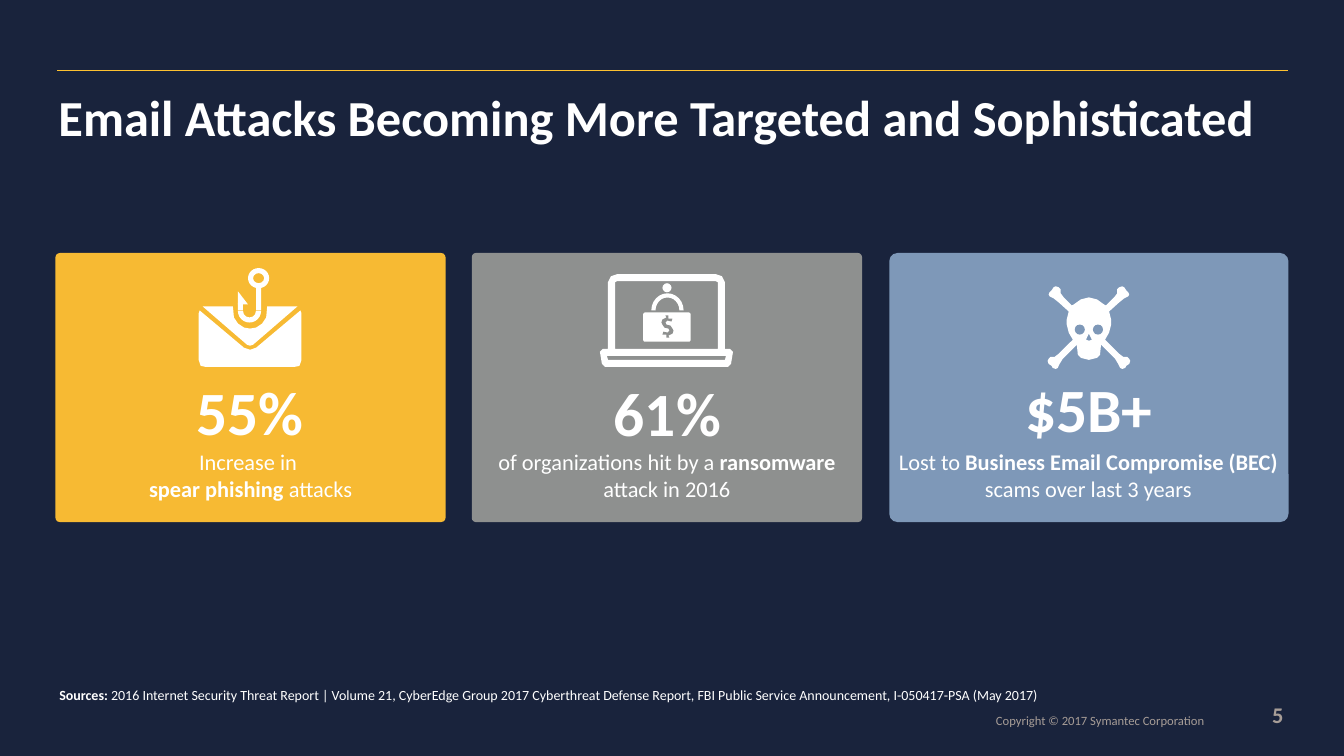
from pptx import Presentation
from pptx import util as u
from pptx.dml import color
from pptx.enum import shapes, text
from pptx.oxml import ns
from lxml import etree

Inches = u.Inches
Kind = shapes.MSO_SHAPE
Align = text.PP_ALIGN
Anchor = text.MSO_ANCHOR
WHITE, NAVY, GOLD, MUTED = "FFFFFF", "19233C", "FDC130", "A79D97"
YELLOW, GREY, BLUE = "F7BA33", "8E908F", "7E98B8"

deck = Presentation()
deck.slide_width, deck.slide_height = Inches(13.33), Inches(7.5)
page = deck.slides.add_slide(deck.slide_layouts[6])


def paint(fill, hex_color):
    fill.solid()
    fill.fore_color.rgb = color.RGBColor.from_string(hex_color)


def glyph(halves, hex_color, axis_x, axis_y=None):
    """Complete each half outline by mirroring it, or by a half turn if axis_y is given."""
    builder = None
    for half in halves:
        if axis_y is None:
            rest = [(2 * axis_x - x, y) for x, y in reversed(half)]
        else:
            rest = [(2 * axis_x - x, 2 * axis_y - y) for x, y in half]
        points = [(Inches(x), Inches(y)) for x, y in half + rest]
        if builder is None:
            builder = page.shapes.build_freeform(*points[0], scale=1.0)
        else:
            builder.move_to(*points[0])
        builder.add_line_segments(points[1:], close=True)
    outline = builder.convert_to_shape()
    outline.shadow.inherit = False
    paint(outline.fill, hex_color)
    outline.line.fill.background()


# Background and top rule
paint(page.background.fill, NAVY)
rule = page.shapes.add_connector(shapes.MSO_CONNECTOR.STRAIGHT, Inches(0.57), Inches(0.7),
                                 Inches(12.77), Inches(0.7))
paint(rule.line.fill, GOLD)
rule.line.width = u.Pt(0.75)
etree.SubElement(rule._element.spPr, ns.qn("a:effectLst"))

# Cards, then the outlines of the three icons
for left, width, corner, card_color in [(0.55, 3.87, 0.017, YELLOW), (4.68, 3.87, 0.015, GREY),
                                        (8.82, 3.96, 0.031, BLUE)]:
    card = page.shapes.add_shape(Kind.ROUNDED_RECTANGLE, Inches(left), Inches(2.51),
                                 Inches(width), Inches(2.67))
    card.adjustments[0] = corner
    card.shadow.inherit = False
    paint(card.fill, card_color)
    card.line.fill.background()

envelope_body = [(2.48, 3.47), (2.54, 3.45), (2.98, 3.08), (2.99, 3.11), (2.99, 3.57),
                 (2.97, 3.63), (2.92, 3.64), (2.48, 3.64)]
envelope_flap = [(2.48, 3.26), (2.54, 3.25), (2.6, 3.21), (2.64, 3.15), (2.65, 3.04),
                 (2.95, 3.04), (2.51, 3.42), (2.48, 3.43)]
glyph([envelope_body, envelope_flap], WHITE, 2.48)

laptop = [(6.61, 2.72), (7.1, 2.72), (7.16, 2.74), (7.19, 2.8), (7.19, 3.46), (7.24, 3.46),
          (7.27, 3.49), (7.25, 3.61), (7.22, 3.64), (6.61, 3.64)]
screen = [(6.61, 2.79), (7.1, 2.79), (7.12, 2.8), (7.12, 3.46), (6.61, 3.46)]
slot = [(6.61, 3.53), (7.2, 3.53), (7.19, 3.57), (6.61, 3.57)]
glyph([laptop, screen, slot], WHITE, 6.61)

skull_and_bones = [
    (10.8, 2.95), (10.88, 2.97), (10.95, 3.02), (10.97, 3.03), (11.05, 2.95), (11.08, 2.91),
    (11.08, 2.87), (11.1, 2.85), (11.13, 2.84), (11.15, 2.85), (11.17, 2.88), (11.19, 2.9),
    (11.2, 2.92), (11.19, 2.94), (11.15, 2.96), (11.1, 3), (11, 3.09), (11.02, 3.17),
    (11.02, 3.22), (11, 3.3), (10.96, 3.37), (11.1, 3.51), (11.14, 3.54), (11.18, 3.54),
    (11.2, 3.56), (11.21, 3.58), (11.2, 3.61), (11.17, 3.63), (11.16, 3.65), (11.13, 3.66),
    (11.11, 3.65), (11.09, 3.61), (11.06, 3.56), (10.92, 3.42), (10.91, 3.52), (10.88, 3.55),
    (10.8, 3.57)]
nose = [(10.8, 3.31), (10.83, 3.37), (10.8, 3.38)]
glyph([skull_and_bones, nose], WHITE, 10.8)

# Icon details: fish hook, padlock, eye sockets
for kind, left, top, width, height, adjust, detail_color in [
        (Kind.DONUT, 2.46, 2.66, 0.21, 0.2, [0.25], WHITE),
        (Kind.RECTANGLE, 2.54, 2.85, 0.05, 0.23, [], WHITE),
        (Kind.BLOCK_ARC, 2.36, 2.97, 0.23, 0.23, [0, 108, 0.22], WHITE),
        (Kind.RECTANGLE, 2.36, 3.01, 0.05, 0.07, [], WHITE),
        (Kind.RIGHT_TRIANGLE, 2.36, 2.89, 0.1, 0.13, [], WHITE),
        (Kind.OVAL, 6.57, 2.81, 0.09, 0.09, [], WHITE),
        (Kind.BLOCK_ARC, 6.46, 2.91, 0.32, 0.34, [108, 0, 0.13], WHITE),
        (Kind.ROUNDED_RECTANGLE, 6.38, 3.1, 0.47, 0.29, [0.06], WHITE),
        (Kind.OVAL, 10.66, 3.22, 0.1, 0.1, [], BLUE),
        (Kind.OVAL, 10.84, 3.22, 0.1, 0.1, [], BLUE)]:
    detail = page.shapes.add_shape(kind, Inches(left), Inches(top), Inches(width), Inches(height))
    for index, value in enumerate(adjust):
        detail.adjustments[index] = value
    detail.shadow.inherit = False
    paint(detail.fill, detail_color)
    detail.line.fill.background()

dollar = [(6.6, 3.13), (6.63, 3.13), (6.63, 3.16), (6.67, 3.16), (6.66, 3.19), (6.62, 3.18),
          (6.6, 3.2), (6.61, 3.22), (6.65, 3.23), (6.67, 3.26), (6.68, 3.28), (6.67, 3.31),
          (6.63, 3.33)]
glyph([dollar], GREY, 6.62, 3.24)

# Text: place, side inset, top inset, alignment, anchor, line spacing, size, colour, paragraphs
# Each paragraph is a list of (words, bold)
stat = (0.07, 0, Align.CENTER, Anchor.TOP, 0.85, 43.9, WHITE)
caption = (0.1, 0, Align.CENTER, Anchor.TOP, 1.0, 16, WHITE)
for place, style, paragraphs in [
        ((0.58, 0.97, 12.15, 0.61), (0, 0, Align.LEFT, Anchor.TOP, 0.8, 36, WHITE),
         [[("Email Attacks Becoming More Targeted and Sophisticated", True)]]),
        ((1.69, 3.82, 1.58, 0.63), stat, [[("55%", True)]]),
        ((5.83, 3.83, 1.58, 0.63), stat, [[("61%", True)]]),
        ((9.97, 3.79, 1.66, 0.63), stat, [[("$5B+", True)]]),
        ((0.55, 4.45, 3.87, 0.54), caption,
         [[("Increase in ", False)], [("spear phishing ", True), ("attacks", False)]]),
        ((4.68, 4.45, 3.87, 0.54), caption,
         [[("of organizations hit by a ", False), ("ransomware ", True),
           ("attack in 2016", False)]]),
        ((8.81, 4.45, 3.97, 0.54), caption,
         [[("Lost to ", False), ("Business Email Compromise (BEC) ", True),
           ("scams over last 3 years", False)]]),
        ((0.49, 6.76, 11.26, 0.33), (0.1, 0.05, Align.LEFT, Anchor.TOP, 1.0, 10, WHITE),
         [[("Sources: ", True),
           ("2016 Internet Security Threat Report | Volume 21, CyberEdge Group 2017 Cyberthreat "
            "Defense Report, FBI Public Service Announcement, I-050417-PSA (May 2017)", False)]]),
        ((6.96, 7.03, 5.01, 0.19), (0, 0, Align.RIGHT, Anchor.BOTTOM, 0.9, 9, MUTED),
         [[("Copyright © 2017 Symantec Corporation ", False)]]),
        ((12.39, 7.07, 0.34, 0.15), (0, 0, Align.RIGHT, Anchor.BOTTOM, 1.0, 16, MUTED),
         [[("5", True)]])]:
    side, top_inset, align, anchor, spacing, size, text_color = style
    frame = page.shapes.add_textbox(*map(Inches, place)).text_frame
    frame.word_wrap = True
    frame.vertical_anchor = anchor
    frame.margin_left = frame.margin_right = Inches(side)
    frame.margin_top = frame.margin_bottom = Inches(top_inset)
    for index, words in enumerate(paragraphs):
        para = frame.add_paragraph() if index else frame.paragraphs[0]
        para.alignment = align
        para.line_spacing = spacing
        for part, bold in words:
            span = para.add_run()
            span.text = part
            span.font.name, span.font.size, span.font.bold = "Calibri", u.Pt(size), bold
            paint(span.font.fill, text_color)

deck.save("out.pptx")
